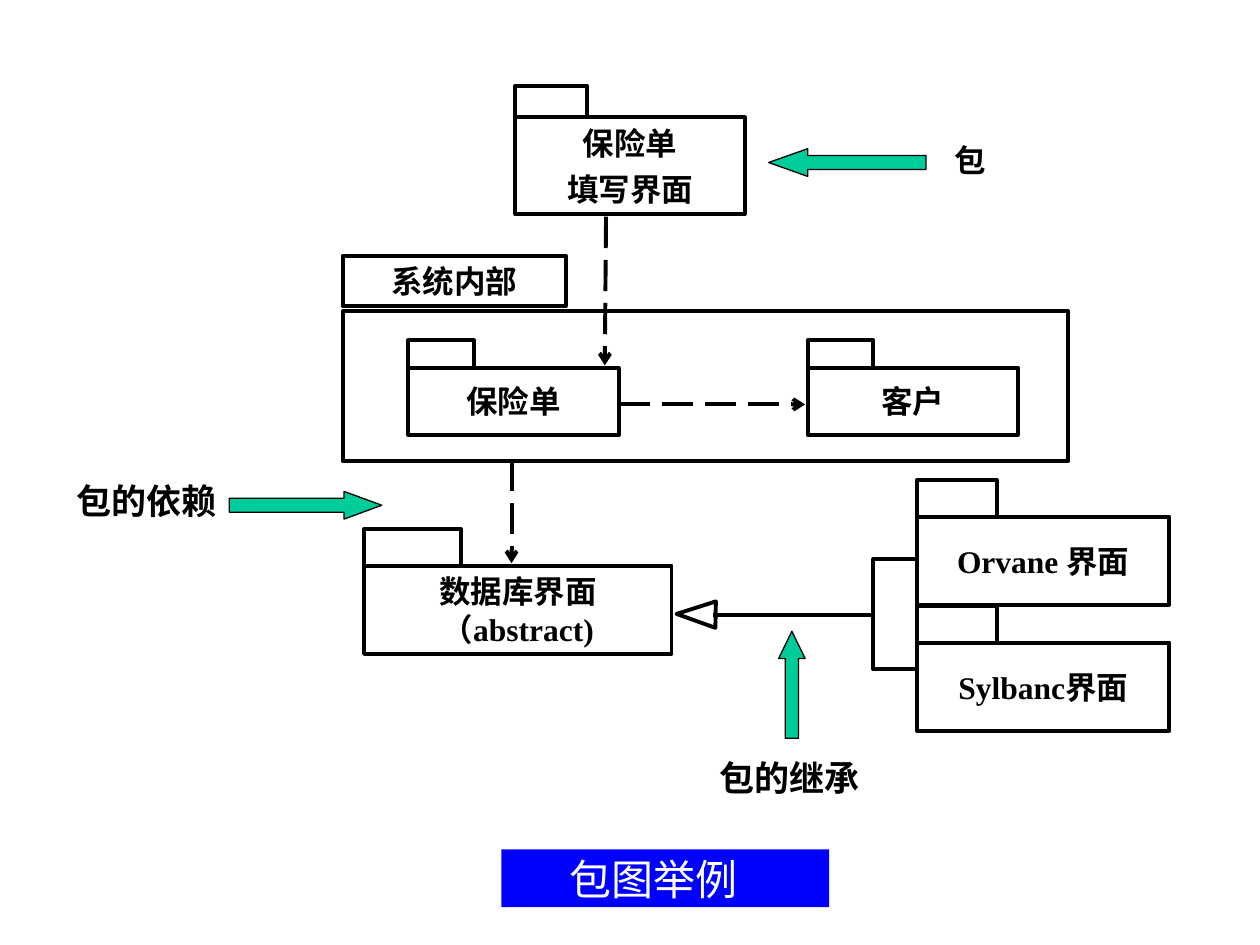
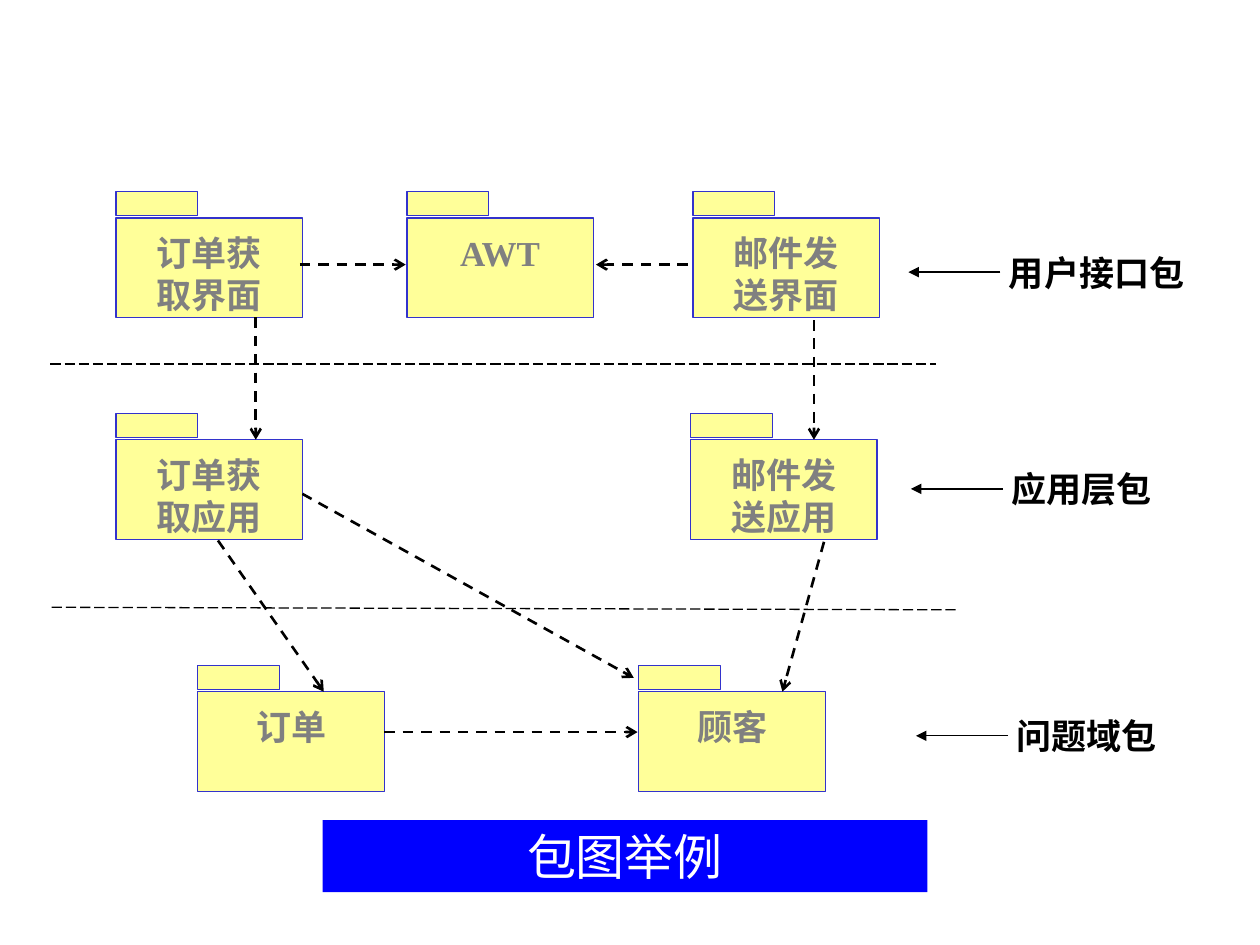
from dataclasses import dataclass

from lxml import etree
from pptx import Presentation
from pptx import util as u
from pptx.dml import color
from pptx.enum import dml, shapes, text
from pptx.oxml import ns


@dataclass(frozen=True)
class Theme:
    font: str = "Times New Roman"
    ink: str = "000000"
    white: str = "FFFFFF"
    band: str = "0000FF"
    pointer: str = "00CC99"
    folder: str = "FFFF99"
    folder_line: str = "3333CC"
    muted: str = "808080"
    small: int = 18
    label: int = 20
    title: int = 24
    big_title: int = 28
    thin: float = 0.75
    medium: float = 1.5
    thick: float = 2.25


T = Theme()
PX = 9144
KIND = shapes.MSO_SHAPE
DASH = dml.MSO_LINE
ALIGN = text.PP_ALIGN
ANCHOR = text.MSO_ANCHOR


def px(*values):
    return [u.Emu(round(v * PX)) for v in values]


def rgb(value):
    return color.RGBColor.from_string(value)


def paint(sp, fill=None, line=None, width=T.thick):
    if fill:
        sp.fill.solid()
        sp.fill.fore_color.rgb = rgb(fill)
    else:
        sp.fill.background()
    if line:
        sp.line.color.rgb = rgb(line)
        sp.line.width = u.Pt(width)
    else:
        sp.line.fill.background()


def write(sp, words, size, ink=T.ink, bold=True, align=ALIGN.CENTER,
          anchor=ANCHOR.MIDDLE, wrap=False, top=5, left=10, gap=0):
    tf = sp.text_frame
    tf.text = words
    tf.auto_size = text.MSO_AUTO_SIZE.NONE
    tf.word_wrap = wrap
    tf.vertical_anchor = anchor
    tf.margin_left, tf.margin_right = px(left, 10)
    tf.margin_top, tf.margin_bottom = px(top, 5)
    for p in tf.paragraphs:
        p.alignment = align
        p.line_spacing = 1.0
        p.space_before = u.Pt(gap)
        for r in p.runs:
            r.font.name = T.font
            r.font.size = u.Pt(size)
            r.font.bold = bold
            r.font.color.rgb = rgb(ink)


def add_box(s, box, kind=KIND.RECTANGLE, fill=None, line=T.ink, width=T.thick):
    sp = s.shapes.add_shape(kind, *px(*box))
    sp.shadow.inherit = False
    paint(sp, fill, line, width)
    return sp


def add_label(s, box, words, size=T.label, align=ALIGN.LEFT):
    write(s.shapes.add_textbox(*px(*box)), words, size, align=align, wrap=True)


def add_line(s, start, end, width=T.thick, dash=None, tail=None):
    sp = s.shapes.add_connector(shapes.MSO_CONNECTOR.STRAIGHT, *px(*start, *end))
    sp.line.color.rgb = rgb(T.ink)
    sp.line.width = u.Pt(width)
    if dash:
        sp.line.dash_style = dash
    props = sp.element.spPr
    if tail:
        etree.SubElement(props.find(ns.qn("a:ln")), ns.qn("a:tailEnd"), type=tail)
    etree.SubElement(props, ns.qn("a:effectLst"))


def add_pointer(s, box, kind, head):
    sp = add_box(s, box, kind, T.pointer, width=T.thin)
    sp.adjustments[1] = head


def add_package(s, box, tab, words, gap=0):
    x, y, w, h = box
    tab_w, tab_h = tab
    add_box(s, (x, y, tab_w, tab_h))
    body = add_box(s, (x, y + tab_h, w, h - tab_h))
    write(body, words, T.small, gap=gap)


def add_folder(s, x, y, words):
    for box in ((x, y, 65, 19), (x, y + 21, 148, 79)):
        sp = add_box(s, box, fill=T.folder, line=T.folder_line, width=T.thin)
    write(sp, words, T.label, T.muted, anchor=ANCHOR.TOP, top=11)


def new_slide(prs, box, size, **style):
    s = prs.slides.add_slide(prs.slide_layouts[5])
    sp = s.shapes.title
    sp.left, sp.top, sp.width, sp.height = px(*box)
    paint(sp, T.band)
    write(sp, "包图举例", size, T.white, bold=False, wrap=True, **style)
    return s


def add_system(s, x, y):
    write(add_box(s, (x, y, 177, 40)), "系统内部", T.small)
    add_box(s, (x, y + 44, 576, 119))
    for dx, words in ((52, "保险单"), (369, "客户")):
        add_package(s, (x + dx, y + 67, 167, 75), (52, 22), words)
    for start, end in (((219, 118), (367, 118)),
                       ((209, -31), (208, 87)),
                       ((134, 162), (134, 244))):
        add_line(s, (x + start[0], y + start[1]), (x + end[0], y + end[1]),
                 dash=DASH.LONG_DASH, tail="arrow")


def add_inheritance(s, x, y):
    for row, words in enumerate(("Orvane 界面", "Sylbanc界面")):
        add_package(s, (x + 186, y + 100 * row, 200, 99), (63, 29), words)
    add_box(s, (x + 151, y + 63, 35, 87))
    add_line(s, (x + 151, y + 107), (x + 24, y + 107))
    head = add_box(s, (x, y + 91, 21, 31), KIND.ISOSCELES_TRIANGLE)
    head.rotation = 271


def add_notes_around(s):
    add_label(s, (748, 107, 67, 40), "包", T.small)
    add_pointer(s, (610, 118, 125, 22), KIND.LEFT_ARROW, 1.41)
    add_label(s, (547, 595, 160, 44), "包的继承", align=ALIGN.CENTER)
    add_pointer(s, (618, 501, 21, 85), KIND.UP_ARROW, 1.03)
    add_label(s, (51, 375, 156, 44), "包的依赖")
    add_pointer(s, (182, 390, 121, 22), KIND.RIGHT_ARROW, 1.36)


def build_insurance(prs):
    s = new_slide(prs, (398, 674, 260, 46), T.title, align=ALIGN.LEFT, left=54)
    add_package(s, (409, 68, 182, 102), (57, 25), "保险单\n填写界面", gap=4.5)
    add_system(s, 272, 203)
    add_package(s, (289, 420, 244, 99), (77, 29), "数据库界面\n（abstract)")
    add_inheritance(s, 542, 381)
    add_notes_around(s)


def add_layer(s, y, folders, callout, words):
    for x, name in folders:
        add_folder(s, x, y, name)
    x, dy = callout
    add_line(s, (x + 73, y + dy), (x, y + dy), T.thin, tail="triangle")
    add_label(s, (x + 70, y + dy - 22, 173, 44), words)


def build_orders(prs):
    s = new_slide(prs, (256, 651, 480, 57), T.big_title)
    add_layer(s, 152, ((92, "订单获\n取界面"), (323, "AWT"), (550, "邮件发\n送界面")),
              (721, 64), "用户接口包")
    add_layer(s, 328, ((92, "订单获\n取应用"), (548, "邮件发\n送应用")),
              (723, 60), "应用层包")
    add_layer(s, 528, ((157, "订单"), (507, "顾客")), (727, 56), "问题域包")
    for start, end in (((238, 210), (322, 210)), ((546, 210), (473, 210)),
                       ((203, 252), (203, 349)), ((646, 254), (646, 349)),
                       ((305, 581), (506, 581)), ((173, 429), (257, 549)),
                       ((240, 392), (503, 538)), ((654, 430), (621, 549))):
        add_line(s, start, end, T.medium, DASH.DASH, "arrow")
    for start, end in (((40, 289), (743, 289)), ((41, 482), (759, 484))):
        add_line(s, start, end, T.thin, DASH.LONG_DASH)


def main():
    prs = Presentation()
    prs.slide_width, prs.slide_height = px(1000, 750)
    build_insurance(prs)
    build_orders(prs)
    prs.save("out.pptx")


if __name__ == "__main__":
    main()
